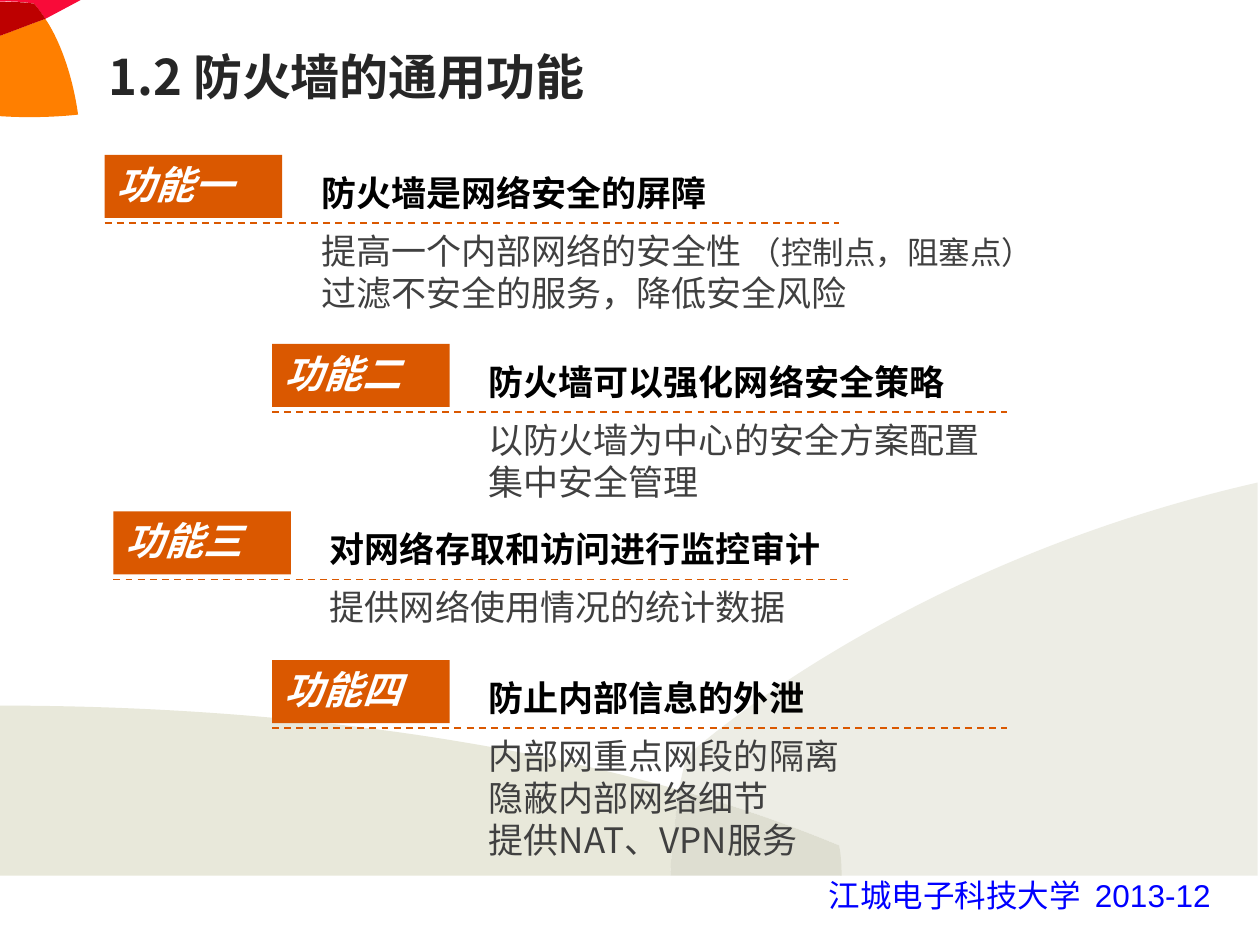
from dataclasses import dataclass

from lxml import etree
from pptx import Presentation
from pptx import util as u
from pptx.dml.color import RGBColor
from pptx.enum import dml, shapes, text
from pptx.oxml.ns import qn
from pptx.util import Inches


@dataclass(frozen=True)
class Theme:
    accent: str = "DA5800"
    white: str = "FFFFFF"
    title: str = "262626"
    heading: str = "000000"
    body: str = "404040"
    footer: str = "0000FF"
    hill_right: str = "EDEDE5"
    hill_left: str = "E8E8DA"
    hill_overlap: str = "DEDED1"
    petal_orange: str = "FF7F00"
    petal_red: str = "F90B39"
    petal_overlap: str = "BD0000"
    latin: str = "Arial"
    cjk: str = "Noto Sans CJK SC"
    title_size: float = 28
    badge_size: float = 22.2
    text_size: float = 20
    small_size: float = 18


T = Theme()


def add_run(p, words, size, color, font=T.cjk, bold=False, italic=False):
    r = p.add_run()
    r.text = words
    r.font.size, r.font.bold, r.font.italic = u.Pt(size), bold, italic
    r.font.color.rgb = RGBColor.from_string(color)
    r.font.name = font
    etree.SubElement(r.font._element, qn("a:ea")).set("typeface", T.cjk)


def add_text_box(parent, left, top, width, height):
    tf = parent.shapes.add_textbox(*map(Inches, (left, top, width, height))).text_frame
    tf.word_wrap = True
    return tf


prs = Presentation()
prs.slide_width, prs.slide_height = Inches(10), Inches(7.5)
s = prs.slides.add_slide(prs.slide_layouts[5])

# Background hills and corner petals: two numbers are a line, six a Bezier curve
outlines = [
    (T.hill_right, [(6.67, 6.95), (9.98, 6.95), (9.98, 3.83),
                    (7.08, 4.49, 5.44, 6.01, 5.44, 6.01),
                    (5.43, 6.1, 5.4, 6.18, 5.39, 6.27),
                    (5.82, 6.39, 6.25, 6.54, 6.66, 6.71),
                    (6.66, 6.71, 6.67, 6.79, 6.67, 6.95)]),
    (T.hill_left, [(5.39, 6.27), (3.37, 5.7, 1.28, 5.6, 0, 5.6), (0, 6.95),
                   (5.32, 6.95), (5.33, 6.72, 5.36, 6.49, 5.39, 6.27)]),
    (T.hill_overlap, [(6.68, 6.95), (6.68, 6.79, 6.66, 6.71, 6.66, 6.71),
                      (6.25, 6.54, 5.82, 6.39, 5.39, 6.27),
                      (5.36, 6.49, 5.33, 6.72, 5.32, 6.95), (6.68, 6.95)]),
    (T.petal_orange, [(0.62, 0.91), (0.57, 0.55, 0.45, 0.28, 0.36, 0.15),
                      (0.16, 0.22, -0.09, 0.33, -0.34, 0.39),
                      (-0.34, 0.39, -0.43, 0.31, -0.52, 0.19),
                      (-0.59, 0.51, -0.53, 0.83, -0.53, 0.83),
                      (-0.02, 0.99, 0.62, 0.91, 0.62, 0.91)]),
    (T.petal_red, [(0.27, 0.03), (0.27, 0.03, 0.3, 0.06, 0.36, 0.15),
                   (0.53, 0.06, 0.66, -0.01, 0.66, -0.01),
                   (0.69, -0.55, 0.34, -0.99, 0.34, -0.99),
                   (-0.37, -0.64, -0.69, -0.21, -0.69, -0.21),
                   (-0.69, -0.06, -0.61, 0.08, -0.52, 0.19),
                   (-0.52, 0.15, -0.5, 0.12, -0.5, 0.08),
                   (-0.5, 0.08, -0.02, -0.03, 0.27, 0.03)]),
    (T.petal_overlap, [(-0.34, 0.39), (-0.09, 0.33, 0.16, 0.22, 0.36, 0.15),
                       (0.3, 0.06, 0.27, 0.03, 0.27, 0.03),
                       (-0.02, -0.02, -0.5, 0.08, -0.5, 0.08),
                       (-0.5, 0.12, -0.51, 0.15, -0.51, 0.19),
                       (-0.43, 0.31, -0.34, 0.39, -0.34, 0.39)]),
]
for color, (start, *segments) in outlines:
    numbers = [Inches(n) for seg in segments for n in (seg if len(seg) == 6 else seg * 3)]
    builder = s.shapes.build_freeform(*map(Inches, start))
    builder.add_line_segments(list(zip(numbers[::2], numbers[1::2])), close=True)
    sp = builder.convert_to_shape()
    # Every three points make one cubic curve
    points = list(sp._element.iter(qn("a:lnTo")))
    for i in range(0, len(points), 3):
        curve = etree.Element(qn("a:cubicBezTo"))
        points[i].addprevious(curve)
        for point in points[i:i + 3]:
            curve.append(point[0])
            point.getparent().remove(point)
    sp.shadow.inherit = False
    sp.fill.solid()
    sp.fill.fore_color.rgb = RGBColor.from_string(color)
    sp.line.fill.background()

# Title
title = s.shapes.title
title.left, title.top, title.width, title.height = map(Inches, (0.5, 0.3, 4.5, 0.61))
tf = title.text_frame
tf.vertical_anchor = text.MSO_ANCHOR.MIDDLE
p = tf.paragraphs[0]
p.alignment = text.PP_ALIGN.CENTER
add_run(p, "1.2 防火墙的通用功能", T.title_size, T.title, bold=True)

# Functions: left edge, rule height, badge, heading, body lines made of runs, body width
functions = [
    (0.83, 1.77, "功能一", "防火墙是网络安全的屏障",
     [[("提高一个内部网络的安全性 ", T.text_size), ("（控制点，阻塞点）", T.small_size)],
      [("过滤不安全的服务，降低安全风险", T.text_size)]], 5.87),
    (2.16, 3.27, "功能二", "防火墙可以强化网络安全策略",
     [[("以防火墙为中心的安全方案配置", T.text_size)],
      [("集中安全管理", T.text_size)]], 4.15),
    (0.9, 4.6, "功能三", "对网络存取和访问进行监控审计",
     [[("提供网络使用情况的统计数据", T.text_size)]], 3.84),
    (2.16, 5.78, "功能四", "防止内部信息的外泄",
     [[("内部网重点网段的隔离", T.text_size)],
      [("隐蔽内部网络细节", T.text_size)],
      [("提供NAT、VPN服务", T.text_size)]], 3.04),
]
RULE_LENGTH, TEXT_INDENT = 5.83, 1.62
for left, rule_y, badge, heading, lines, body_width in functions:
    group = s.shapes.add_group_shape()

    # Dashed rule
    rule = group.shapes.add_connector(shapes.MSO_CONNECTOR.STRAIGHT, Inches(left), Inches(rule_y),
                                      Inches(left + RULE_LENGTH), Inches(rule_y))
    rule.line.color.rgb = RGBColor.from_string(T.accent)
    rule.line.width = u.Pt(1)
    rule.line.dash_style = dml.MSO_LINE.DASH
    etree.SubElement(rule._element.spPr, qn("a:effectLst"))

    # Badge
    sp = group.shapes.add_shape(shapes.MSO_SHAPE.RECTANGLE, Inches(left), Inches(rule_y - 0.54),
                                Inches(1.41), Inches(0.5))
    sp.shadow.inherit = False
    sp.fill.solid()
    sp.fill.fore_color.rgb = RGBColor.from_string(T.accent)
    sp.line.fill.background()
    sp.text_frame.vertical_anchor = text.MSO_ANCHOR.MIDDLE
    p = sp.text_frame.paragraphs[0]
    p.alignment = text.PP_ALIGN.LEFT
    p.line_spacing = 0.9
    add_run(p, badge, T.badge_size, T.white, bold=True, italic=True)

    # Heading above the rule
    heading_width = 0.28 * len(heading) + 0.22
    tf = add_text_box(group, left + TEXT_INDENT, rule_y - 0.46, heading_width, 0.44)
    add_run(tf.paragraphs[0], heading, T.text_size, T.heading, T.latin, bold=True)

    # Body below the rule
    tf = add_text_box(group, left + TEXT_INDENT, rule_y, body_width, 0.11 + 0.33 * len(lines))
    for i, runs in enumerate(lines):
        p = tf.add_paragraph() if i else tf.paragraphs[0]
        for words, size in runs:
            add_run(p, words, size, T.body)

# Footer
tf = add_text_box(s, 6.48, 6.9, 3.32, 0.4)
add_run(tf.paragraphs[0], "江城电子科技大学  2013-12", T.small_size, T.footer, T.latin)

prs.save("out.pptx")
